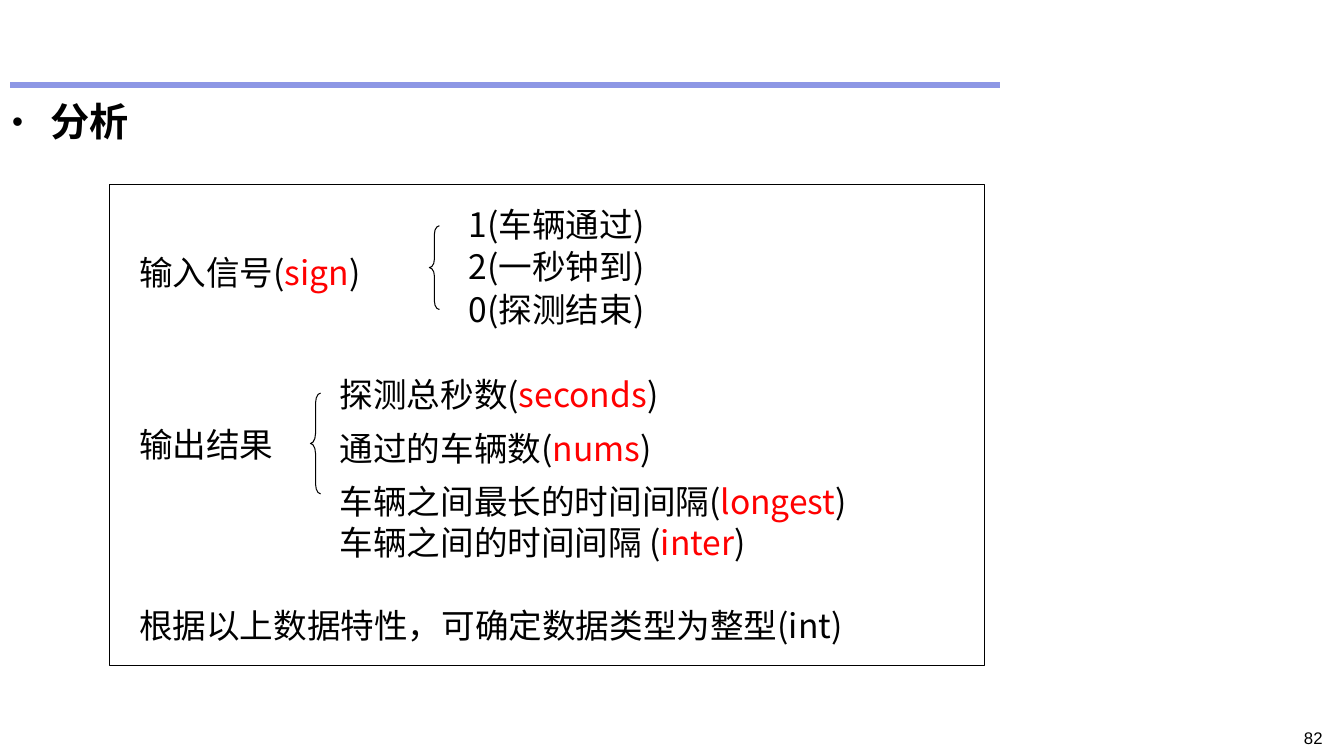
from lxml import etree
from pptx import Presentation, util as u
from pptx.dml.color import RGBColor
from pptx.enum import shapes, text
from pptx.oxml.ns import qn

COLORS = {"text": "000000", "variable": "FF0000", "rule": "8D97E5"}


class AnalysisSlide:
    """Holds the style and the current slide and adds each kind of element."""

    font = "Noto Sans CJK SC"
    size = 24
    line_spacing = 29

    def __init__(self, presentation):
        self.slide = presentation.slides.add_slide(presentation.slide_layouts[1])
        title = self.slide.shapes.title
        title.element.getparent().remove(title.element)

    def style_run(self, run, size, color="text", font=None, bold=False):
        run.font.size = u.Pt(size)
        run.font.name = font or self.font
        run.font.bold = bold
        run.font.color.rgb = RGBColor.from_string(COLORS[color])
        east_asian = etree.SubElement(run.font._element, qn("a:ea"))
        east_asian.set("typeface", font or self.font)

    def set_margins(self, frame, horizontal, vertical):
        frame.margin_left = frame.margin_right = u.Pt(horizontal)
        frame.margin_top = frame.margin_bottom = u.Pt(vertical)

    def heading(self, words, left, top, width, height, indent=27.36):
        body = self.slide.placeholders[1]
        body.left, body.top = u.Pt(left), u.Pt(top)
        body.width, body.height = u.Pt(width), u.Pt(height)
        frame = body.text_frame
        frame.auto_size = text.MSO_AUTO_SIZE.NONE
        frame.vertical_anchor = text.MSO_ANCHOR.TOP
        self.set_margins(frame, 1.44, 0.72)
        frame.text = words
        paragraph = frame.paragraphs[0]
        paragraph.space_before = u.Pt(0)
        paragraph.line_spacing = u.Pt(35)
        properties = paragraph._p.get_or_add_pPr()
        properties.set("marL", str(u.Pt(indent)))
        properties.set("indent", str(-u.Pt(indent)))
        for tag, name, value in (("a:buSzPct", "val", "80000"),
                                 ("a:buFont", "typeface", "Arial"),
                                 ("a:buChar", "char", "•")):
            etree.SubElement(properties, qn(tag)).set(name, value)
        self.style_run(paragraph.runs[0], 28, bold=True)

    def text_box(self, left, top, width, height):
        shape = self.slide.shapes.add_textbox(
            u.Pt(left), u.Pt(top), u.Pt(width), u.Pt(height))
        shape.text_frame.word_wrap = True
        return shape.text_frame

    def label(self, left, top, width, *lines):
        frame = self.text_box(left, top, width, self.line_spacing * len(lines))
        self.set_margins(frame, 0, 0)
        for index, parts in enumerate(lines):
            paragraph = frame.add_paragraph() if index else frame.paragraphs[0]
            paragraph.line_spacing = u.Pt(self.line_spacing)
            for position, part in enumerate(parts):
                run = paragraph.add_run()
                run.text = part
                self.style_run(run, self.size, "variable" if position % 2 else "text")

    def page_number(self, number, left, top, width, height):
        frame = self.text_box(left, top, width, height)
        frame.text = number
        paragraph = frame.paragraphs[0]
        paragraph.alignment = text.PP_ALIGN.RIGHT
        self.style_run(paragraph.runs[0], 12, font="Arial")

    def outline(self, kind, left, top, width, height):
        shape = self.slide.shapes.add_shape(
            kind, u.Pt(left), u.Pt(top), u.Pt(width), u.Pt(height))
        shape.shadow.inherit = False
        shape.fill.background()
        shape.line.color.rgb = RGBColor.from_string(COLORS["text"])
        shape.line.width = u.Pt(0.75)
        return shape

    def brace(self, left, top, height, curve):
        shape = self.outline(shapes.MSO_SHAPE.LEFT_BRACE, left, top, 7.2, height)
        shape.adjustments[0] = curve

    def rule(self, left, right, top):
        line = self.slide.shapes.add_connector(
            shapes.MSO_CONNECTOR.STRAIGHT, u.Pt(left), u.Pt(top), u.Pt(right), u.Pt(top))
        line.line.color.rgb = RGBColor.from_string(COLORS["rule"])
        line.line.width = u.Pt(4.5)
        etree.SubElement(line._element.spPr, qn("a:effectLst"))


def main():
    presentation = Presentation()
    presentation.slide_width, presentation.slide_height = u.Pt(960), u.Pt(540)
    slide = AnalysisSlide(presentation)

    slide.rule(7.2, 714.2, 60.5)
    slide.heading("分析", 7.2, 67.7, 944.6, 468.7)

    slide.label(99.4, 180, 186, ["输入信号(", "sign", ")"])
    for row, signal in enumerate(["1(车辆通过)", "2(一秒钟到)", "0(探测结束)"]):
        slide.label(334.8, 145.4 + 30.25 * row, 159, [signal])
    slide.brace(306.7, 161.3, 59.8, 0.833)

    slide.label(99.4, 302.4, 115, ["输出结果"])
    results = [
        (251, [["探测总秒数(", "seconds", ")"]]),
        (251, [["通过的车辆数(", "nums", ")"]]),
        (414, [["车辆之间最长的时间间隔(", "longest", ")"],
               ["车辆之间的时间间隔 (", "inter", ")"]]),
    ]
    for row, (width, lines) in enumerate(results):
        slide.label(242.6, 267.1 + 38.15 * row, width, *lines)
    slide.brace(221.8, 280.8, 72, 1)

    slide.label(99.4, 432, 522, ["根据以上数据特性，可确定数据类型为整型(int)"])
    slide.outline(shapes.MSO_SHAPE.RECTANGLE, 78.5, 131.8, 625, 343.4)
    slide.page_number("82", 857.5, 516.2, 94.3, 18)

    presentation.save("out.pptx")


if __name__ == "__main__":
    main()
